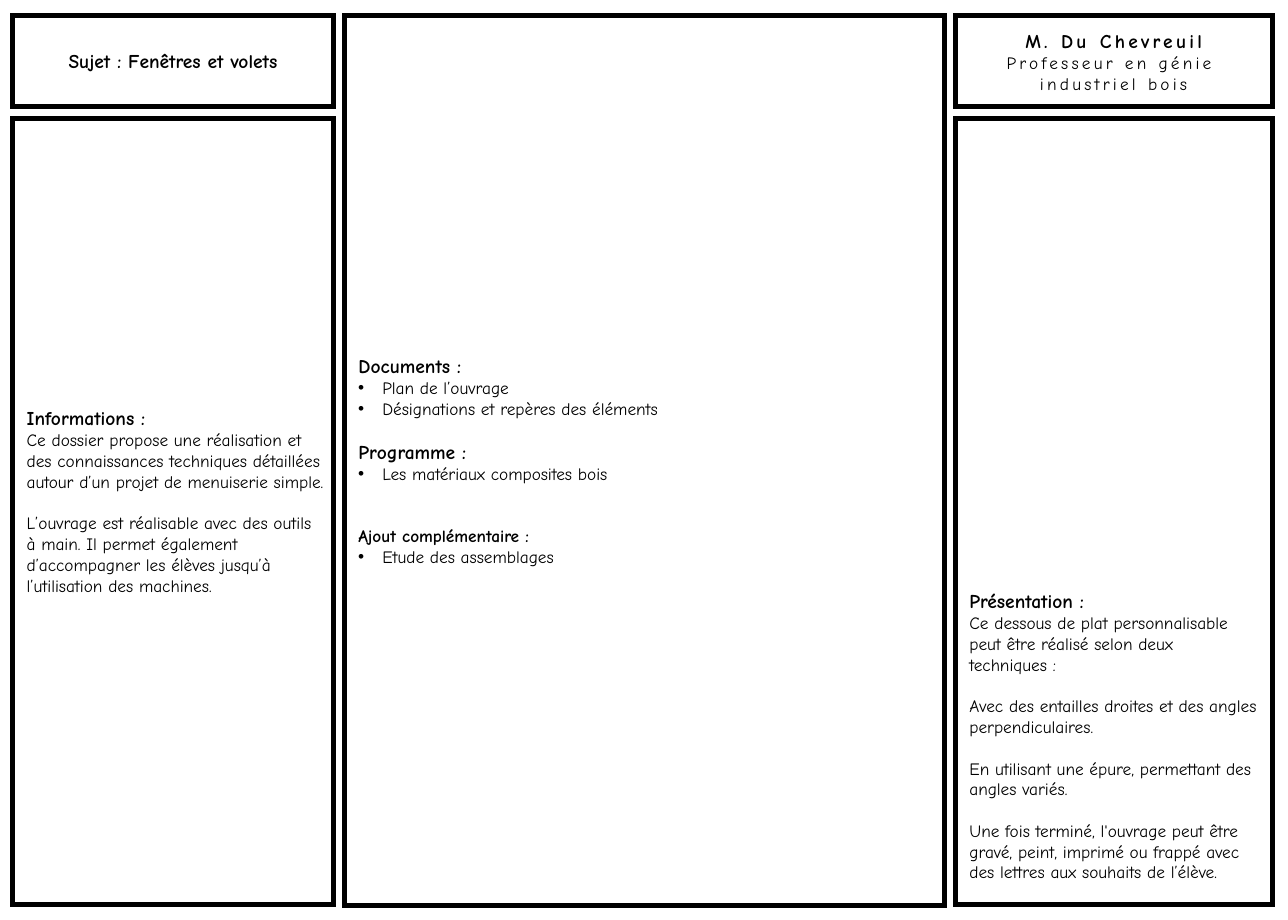
from lxml import etree
from pptx import Presentation, util as u
from pptx.dml import color
from pptx.enum import shapes, text
from pptx.oxml import ns

Pt = u.Pt
FONT, INK, PAPER = "Comic Neue", "000000", "FFFFFF"
SLIDE = (1190.2, 850.3)
COLUMNS = {"left": (11.5, 296.7), "middle": (318.2, 554.4), "right": (882.7, 293)}
ROWS = {"header": (14.4, 84.2), "body": (109.4, 726.5), "full": (14.4, 822.2)}
LINE_GAP = 19.2

STYLES = {
    "title": {"size": 18, "bold": True, "align": "CENTER"},
    "subtitle": {"size": 16, "bold": False, "align": "CENTER"},
    "heading": {"size": 18, "bold": True, "indent": 6},
    "subheading": {"size": 16, "bold": True, "indent": 6},
    "body": {"size": 16, "bold": False, "indent": 6},
    "bullet": {"size": 16, "bold": False, "indent": 28, "hanging": -22.3},
}

PANELS = [
    {"column": "middle", "row": "full", "lines": [
        ("heading", "Documents :", 0),
        ("bullet", "Plan de l’ouvrage", 0),
        ("bullet", "Désignations et repères des éléments", 0),
        ("heading", "Programme :", 1),
        ("bullet", "Les matériaux composites bois", 0),
        ("subheading", "Ajout complémentaire :", 2),
        ("bullet", "Etude des assemblages", 0)]},
    {"column": "left", "row": "body", "bottom": 22.8, "lines": [
        ("heading", "Informations :", 0),
        ("body", "Ce dossier propose une réalisation et des connaissances techniques "
                 "détaillées autour d’un projet de menuiserie simple.", 0),
        ("body", "L’ouvrage est réalisable avec des outils à main. Il permet également "
                 "d’accompagner les élèves jusqu’à l’utilisation des machines.", 1)]},
    {"column": "right", "row": "body", "bottom": 20.4, "anchor": "BOTTOM", "lines": [
        ("heading", "Présentation :", 0),
        ("body", "Ce dessous de plat personnalisable peut être réalisé selon deux "
                 "techniques :", 0),
        ("body", "Avec des entailles droites et des angles perpendiculaires.", 1),
        ("body", "En utilisant une épure, permettant des angles variés.", 1),
        ("body", "Une fois terminé, l'ouvrage peut être gravé, peint, imprimé ou "
                 "frappé avec des lettres aux souhaits de l’élève.", 1)]},
    {"column": "right", "row": "header", "spacing": 3, "lines": [
        ("title", "M. Du Chevreuil", 0),
        ("subtitle", "Professeur en génie ", 0),
        ("subtitle", "industriel bois", 0)]},
    {"column": "left", "row": "header", "lines": [
        ("title", "Sujet : Fenêtres et volets", 0)]},
]


def paint(target, hex_color):
    target.rgb = color.RGBColor.from_string(hex_color)


def apply(target, values):
    for name, value in values.items():
        setattr(target, name, value)


def add_line(paragraph, style, wording, gaps, spacing):
    look = STYLES[style]
    props = paragraph._p.get_or_add_pPr()
    props.set("marL", str(Pt(look.get("indent", 0))))
    props.set("indent", str(Pt(look.get("hanging", 0))))
    if style == "bullet":
        etree.SubElement(props, ns.qn("a:buFont")).set("typeface", "Arial")
        etree.SubElement(props, ns.qn("a:buChar")).set("char", "•")
    apply(paragraph, {
        "alignment": text.PP_ALIGN[look.get("align", "LEFT")],
        "space_before": Pt(gaps * LINE_GAP)})
    run = paragraph.add_run()
    run.text = wording
    apply(run.font, {"name": FONT, "size": Pt(look["size"]), "bold": look["bold"]})
    paint(run.font.color, INK)
    if spacing:
        run.font._element.set("spc", str(spacing * 100))


def add_panel(slide, panel):
    left, width = COLUMNS[panel["column"]]
    top, height = ROWS[panel["row"]]
    frame = slide.shapes.add_shape(
        shapes.MSO_SHAPE.RECTANGLE, Pt(left), Pt(top), Pt(width), Pt(height))
    frame.shadow.inherit = False
    frame.fill.solid()
    paint(frame.fill.fore_color, PAPER)
    frame.line.width = Pt(4.5)
    frame.line.fill.solid()
    paint(frame.line.color, INK)
    border = frame.line._get_or_add_ln()
    etree.SubElement(border, ns.qn("a:miter")).set("lim", "800000")
    words = frame.text_frame
    apply(words, {
        "word_wrap": True,
        "vertical_anchor": text.MSO_ANCHOR[panel.get("anchor", "MIDDLE")],
        "margin_left": Pt(7.2), "margin_right": Pt(7.2),
        "margin_top": Pt(3.6), "margin_bottom": Pt(panel.get("bottom", 3.6))})
    for index, (style, wording, gaps) in enumerate(panel["lines"]):
        paragraph = words.add_paragraph() if index else words.paragraphs[0]
        add_line(paragraph, style, wording, gaps, panel.get("spacing", 0))


def main():
    deck = Presentation()
    apply(deck, {"slide_width": Pt(SLIDE[0]), "slide_height": Pt(SLIDE[1])})
    slide = deck.slides.add_slide(deck.slide_layouts[6])
    for panel in PANELS:
        add_panel(slide, panel)
    deck.save("out.pptx")


if __name__ == "__main__":
    main()
